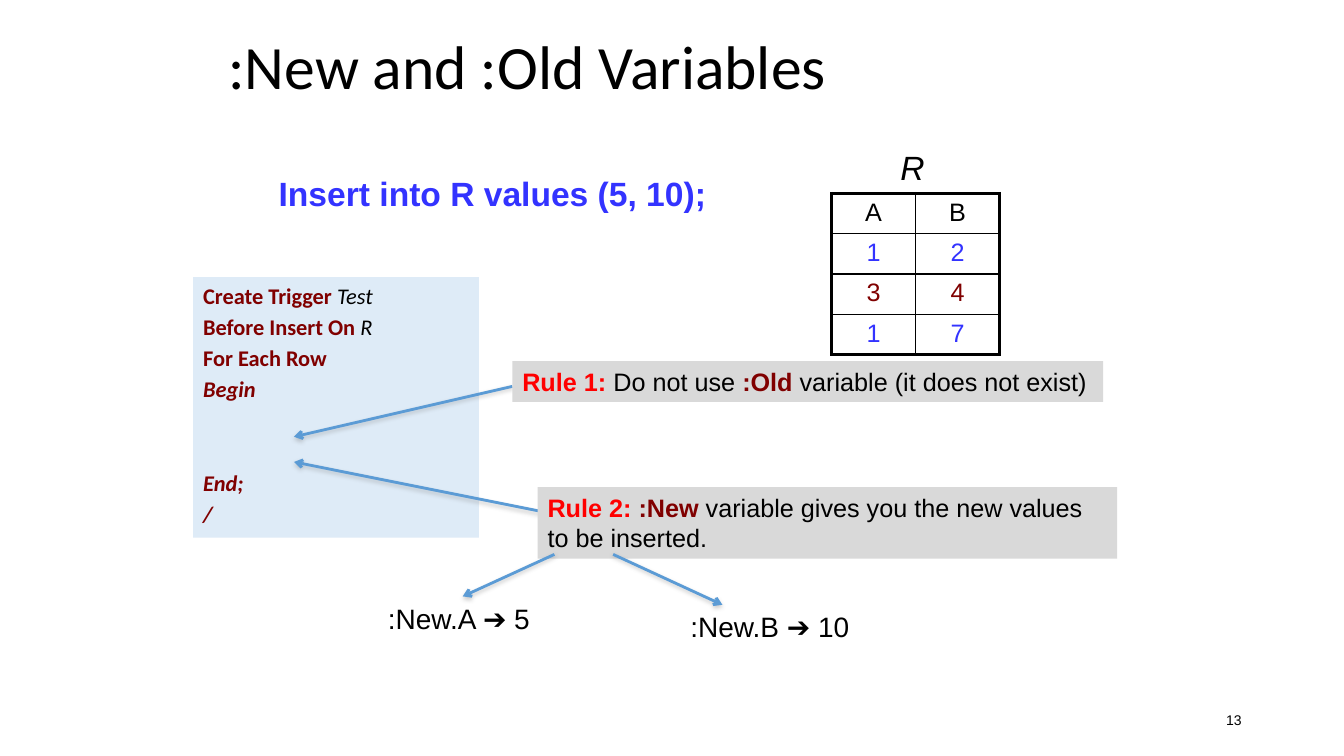
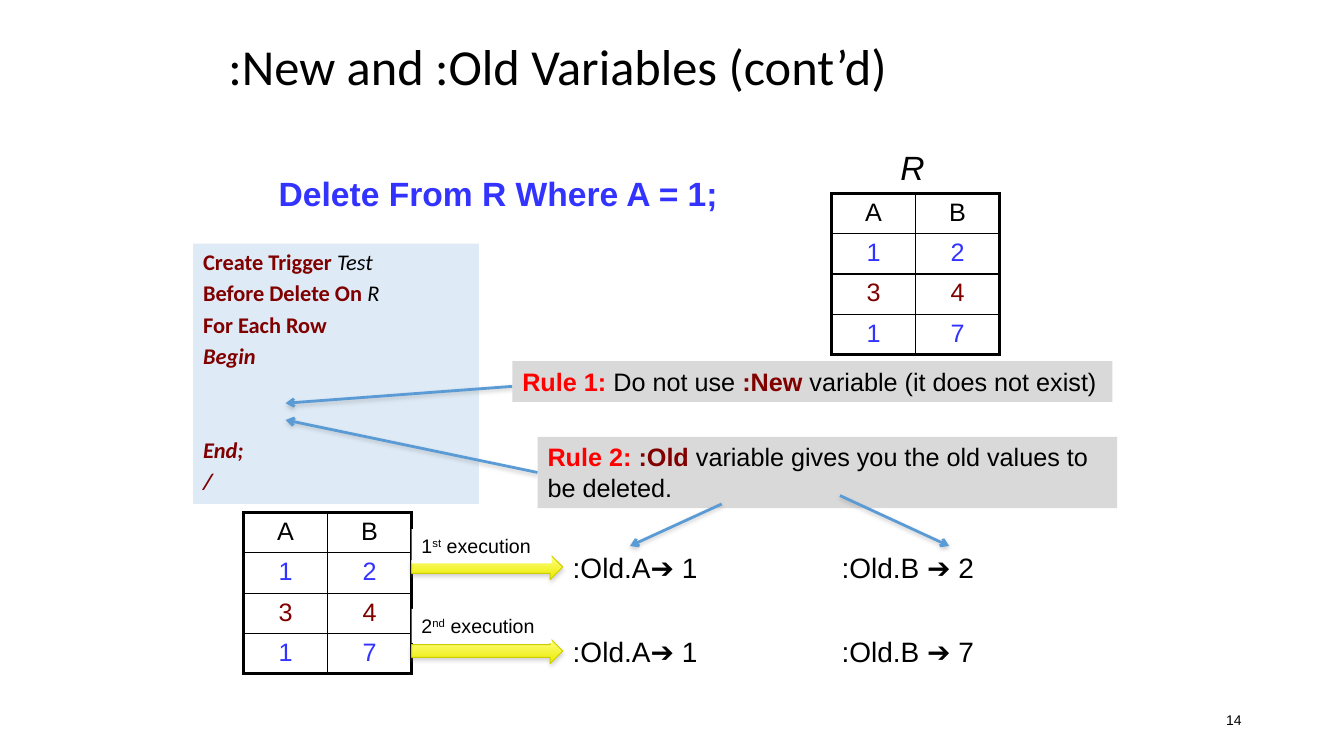
from pptx import Presentation
from pptx.dml.color import RGBColor
from pptx.enum.shapes import MSO_CONNECTOR as Connector, MSO_SHAPE as Preset
from pptx.enum.text import MSO_ANCHOR as Anchor, MSO_AUTO_SIZE as AutoSize, PP_ALIGN as Align
from pptx.oxml import parse_xml
from pptx.oxml.ns import nsdecls
from pptx.util import Pt

BLACK = RGBColor(0x00, 0x00, 0x00)
WHITE = RGBColor(0xFF, 0xFF, 0xFF)
BLUE = RGBColor(0x33, 0x33, 0xFF)
MAROON = RGBColor(0x80, 0x00, 0x00)
RED = RGBColor(0xFF, 0x00, 0x00)
PALE_BLUE = RGBColor(0xDE, 0xEB, 0xF7)
GRAY = RGBColor(0xD9, 0xD9, 0xD9)
ARROW_BLUE = RGBColor(0x5B, 0x9B, 0xD5)
LIGHT_YELLOW = RGBColor(0xFF, 0xFF, 0x85)
YELLOW = RGBColor(0xEB, 0xEB, 0x00)
OLIVE = RGBColor(0xCC, 0xCC, 0x00)

HEADING_FONT, BODY_FONT = "Calibri", "Arial"
COLUMN, ROW = 60, 28.8
ROWS = [("A", "B", BLACK), ("1", "2", BLUE), ("3", "4", MAROON), ("1", "7", BLUE)]


# Text and line helpers
def write(para, spans, size, name=BODY_FONT, color=BLACK):
    """Each span is a text, or a text with a dict of font settings."""
    para.font.size, para.font.name = Pt(size), name
    para.font.color.rgb = color
    for span in spans:
        text, style = (span, {}) if isinstance(span, str) else span
        run = para.add_run()
        run.text = text
        run.font.bold, run.font.italic = style.get("bold"), style.get("italic")
        if "color" in style:
            run.font.color.rgb = style["color"]
        if style.get("raised"):
            run.font._element.set("baseline", "30000")


def add_text(page, box, spans, size, color=BLACK, fill=None, wrap=False):
    shape = page.shapes.add_textbox(*map(Pt, box))
    shape.text_frame.word_wrap = wrap
    if fill is not None:
        shape.fill.solid()
        shape.fill.fore_color.rgb = fill
    write(shape.text_frame.paragraphs[0], spans, size, color=color)
    return shape


def add_shadow(shape, alpha, distance):
    shape._element.spPr.append(parse_xml(
        f'<a:effectLst {nsdecls("a")}><a:outerShdw blurRad="{Pt(3.1)}" dist="{Pt(distance)}" '
        f'dir="5400000" rotWithShape="0"><a:srgbClr val="808080"><a:alpha val="{alpha}000"/>'
        '</a:srgbClr></a:outerShdw></a:effectLst>'))


def add_arrow(page, start, tip):
    arrow = page.shapes.add_connector(Connector.STRAIGHT, *map(Pt, start + tip))
    arrow.line.color.rgb, arrow.line.width = ARROW_BLUE, Pt(2)
    arrow.line._get_or_add_ln().append(parse_xml(f'<a:tailEnd {nsdecls("a")} type="arrow"/>'))
    add_shadow(arrow, 38, 1.6)
    return arrow


# Shared frame: title, number, statement and relation R
def add_frame(deck, title, size, number, statement):
    page = deck.slides.add_slide(deck.slide_layouts[5])
    heading = page.shapes.title
    heading.left, heading.top, heading.width, heading.height = map(Pt, (156, 9, 594, 81))
    frame = heading.text_frame
    frame.auto_size, frame.word_wrap = AutoSize.NONE, True
    frame.vertical_anchor = Anchor.MIDDLE
    para = frame.paragraphs[0]
    para.alignment, para.line_spacing = Align.LEFT, 0.9
    write(para, [title], size, HEADING_FONT)

    footer = add_text(page, (678, 500, 216, 29), [number], 10, wrap=True).text_frame
    footer.vertical_anchor = Anchor.MIDDLE
    footer.paragraphs[0].alignment = Align.RIGHT

    add_text(page, (192, 120, 330, 36), [(statement, {"bold": True})], 24, BLUE)
    add_text(page, (636, 101.5, 32, 36), [("R", {"italic": True})], 24)
    add_relation(page, 594, 138)
    return page


def add_borders(cell, outer_sides):
    for side in "LRTB":
        width = Pt(2.25 if side in outer_sides else 1)
        cell._tc.get_or_add_tcPr().append(parse_xml(
            f'<a:ln{side} {nsdecls("a")} w="{width}"><a:solidFill><a:srgbClr val="{BLACK}"/>'
            f'</a:solidFill></a:ln{side}>'))


def add_relation(page, left, top):
    table = page.shapes.add_table(
        len(ROWS), 2, Pt(left), Pt(top), Pt(2 * COLUMN), Pt(len(ROWS) * ROW)).table
    for column in table.columns:
        column.width = Pt(COLUMN)
    table.first_row = table.horz_banding = False
    for y, (*values, color) in enumerate(ROWS):
        table.rows[y].height = Pt(ROW)
        for x, value in enumerate(values):
            cell = table.cell(y, x)
            outer = "LR"[x] + ("T" if y == 0 else "B" if y == len(ROWS) - 1 else "")
            add_borders(cell, outer)
            cell.fill.background()
            para = cell.text_frame.paragraphs[0]
            para.alignment = Align.CENTER
            write(para, [value], 18, color=color)


# Trigger code, with a gap for the body between Begin and End
def add_trigger(page, box, event):
    bold, italic = {"bold": True}, {"italic": True, "color": BLACK}
    both = {"bold": True, "italic": True}
    lines = [
        (0, [("Create Trigger ", bold), ("Test", italic)]),
        (3, [(f"Before {event} On ", bold), ("R", italic)]),
        (3, [("For Each Row", bold)]),
        (3, [("Begin", both)]),
        (48, [("End;", both)]),
        (3, [("/", both)]),
    ]
    shape = page.shapes.add_textbox(*map(Pt, box))
    shape.fill.solid()
    shape.fill.fore_color.rgb = PALE_BLUE
    frame = shape.text_frame
    frame.word_wrap = True
    for index, (gap, spans) in enumerate(lines):
        para = frame.add_paragraph() if index else frame.paragraphs[0]
        para.space_before = Pt(gap)
        write(para, spans, 16, HEADING_FONT, MAROON)


# Rule box with an arrow into the trigger body
def add_rule(page, box, number, spans, tip, offset=None, wrap=False):
    """Without an offset the arrow is joined to the middle of the left side."""
    left, top, _, height = box
    dx, dy = offset or (0, height / 2)
    arrow = add_arrow(page, (left + dx, top + dy), tip)
    label = (f"Rule {number}: ", {"bold": True, "color": RED})
    shape = add_text(page, box, [label] + spans, 18, fill=GRAY, wrap=wrap)
    if offset is None:
        arrow.begin_connect(shape, 1)


def add_rules(page, unused, used, age, purpose, first, second):
    maroon = {"bold": True, "color": MAROON}
    width, tip = first
    add_rule(page, (366, 258, width, 29), 1,
             ["Do not use ", (f"{unused} ", maroon), "variable (it does not exist)"],
             tip, offset=(0, 18))
    top, tip, offset = second
    add_rule(page, (384, top, 414, 51), 2,
             [(used, maroon), f" variable gives you the {age} values to be {purpose}."],
             tip, offset, wrap=True)


# One execution: block arrow, its label and the two values
def add_execution(page, left, top, rise, ordinal, suffix, values):
    add_text(page, (left + 108, top, 109, 31.5), [f":Old.A➔ {values[0]}"], 20)
    add_text(page, (left + 300, top, 120, 31.5), [f":Old.B ➔ {values[1]}"], 20)
    arrow = page.shapes.add_shape(
        Preset.RIGHT_ARROW, Pt(left), Pt(top + 6), Pt(108), Pt(18))
    arrow.fill.gradient()
    arrow.fill.gradient_angle = 270
    for stop, color in zip(arrow.fill.gradient_stops, (LIGHT_YELLOW, YELLOW)):
        stop.color.rgb = color
    arrow.line.color.rgb, arrow.line.width = OLIVE, Pt(0.75)
    add_shadow(arrow, 35, 1.8)
    add_text(page, (left, top - rise, 100, 24.5),
             [ordinal, (suffix, {"raised": True}), " execution"], 14, fill=WHITE)


def add_insert_slide(deck):
    page = add_frame(deck, ":New and :Old Variables", 44, "13",
                     "Insert into R values (5, 10);")
    add_trigger(page, (138, 198, 204, 186), "Insert")
    add_rules(page, ":Old", ":New", "new", "inserted",
              (422, (210, 312)), (348, (210, 330), (6, 18)))
    add_text(page, (270, 426, 127, 31.5), [":New.A ➔ 5"], 20)
    add_text(page, (486, 432, 139, 31.5), [":New.B ➔ 10"], 20)
    add_arrow(page, (396, 396), (330.5, 426))
    add_arrow(page, (438, 396), (516, 432))


def add_delete_slide(deck):
    page = add_frame(deck, ":New and :Old Variables (cont’d)", 36, "14",
                     "Delete From R Where A = 1;")
    add_trigger(page, (138, 174, 204, 186), "Delete")
    add_rules(page, ":New", ":Old", "old", "deleted",
              (428.5, (204, 288)), (312, (204, 300), None))
    add_relation(page, 174, 366)
    add_arrow(page, (515.5, 360), (450, 390))
    add_arrow(page, (600, 354), (678, 390))
    add_execution(page, 294, 390, 12, "1", "st", (1, 2))
    add_execution(page, 294, 450, 15, "2", "nd", (1, 7))


def main():
    deck = Presentation()
    deck.slide_width, deck.slide_height = Pt(960), Pt(540)
    add_insert_slide(deck)
    add_delete_slide(deck)
    deck.save("out.pptx")


if __name__ == "__main__":
    main()
